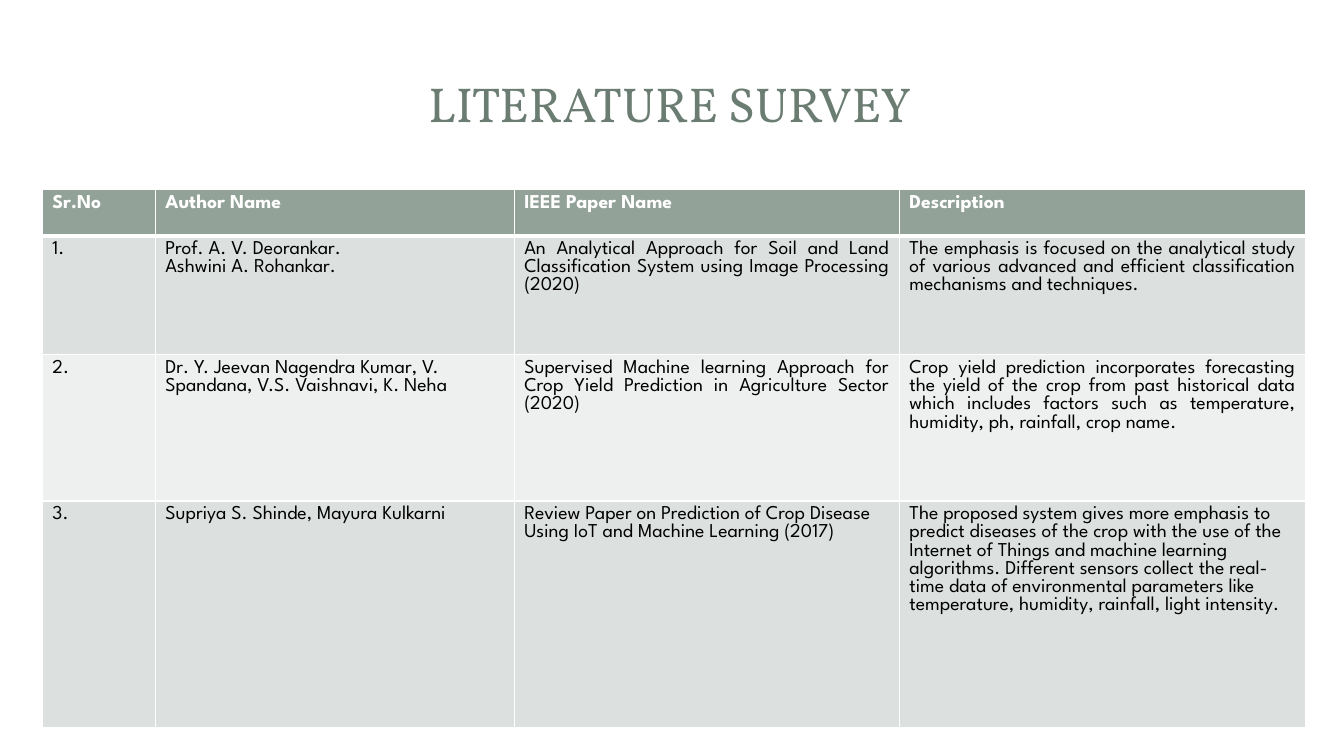
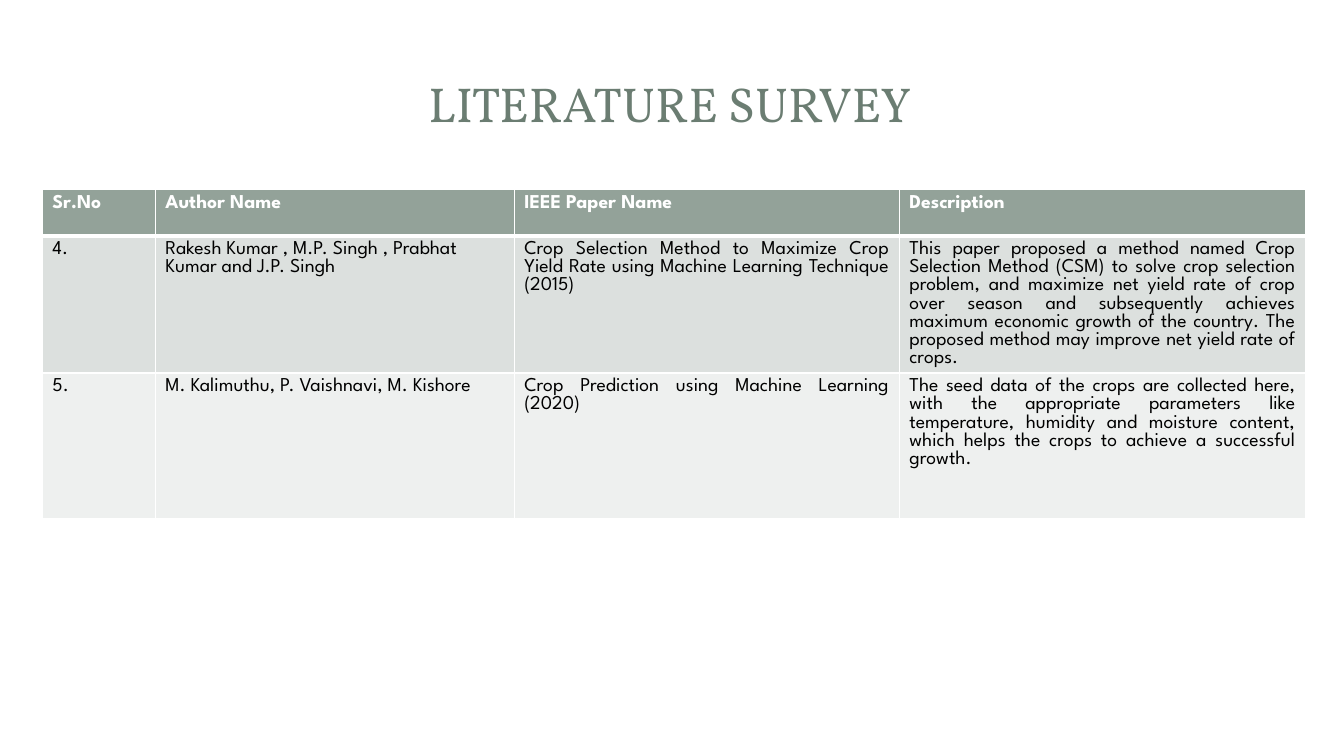
from lxml import etree
from pptx import Presentation
from pptx.dml.color import RGBColor
from pptx.enum.shapes import MSO_SHAPE
from pptx.enum.text import MSO_ANCHOR, PP_ALIGN
from pptx.oxml.ns import qn
from pptx.util import Inches, Pt

COLORS = {
    "panel": "FFFFFF",
    "title": "6B7D72",
    "header": "93A299",
    "band_dark": "DCE0DE",
    "band_light": "EEF0EF",
    "rule": "FFFFFF",
    "header_text": "FFFFFF",
    "body_text": "000000",
}
TITLE_FONT = "Vollkorn"
BODY_FONT = "League Spartan"
PAGE_BOX = (0.13, 0.11, 13.07, 7.29)
TITLE_BAND_BOX = (0.4, 0.3, 12.53, 1.45)
TITLE_PANEL_BOX = (0.54, 0.41, 12.22, 1.22)
TITLE_BOX = (0.62, 0.45, 12.05, 1.14)
TABLE_LEFT, TABLE_TOP = 0.42, 1.88
COLUMN_WIDTHS = (1.12, 3.56, 3.82, 4.03)
ROW_HEIGHTS = (0.46, 1.18, 1.45, 2.25)
HEADINGS = ("Sr.No", "Author Name", "IEEE Paper Name", "Description")
PROSE_COLUMNS = (2, 3)
THIN_RULE, THICK_RULE = 1, 3

# Each paper: number, authors, paper name, description, justified prose
SURVEY_PAGES = [
    [
        ("1.", "Prof. A. V. Deorankar.\nAshwini A. Rohankar.",
         "An Analytical Approach for Soil and Land Classification System "
         "using Image Processing (2020)",
         "The emphasis is focused on the analytical study of various advanced "
         "and efficient classification mechanisms and techniques.", True),
        ("2.", "Dr. Y. Jeevan Nagendra Kumar, V. Spandana, V.S. Vaishnavi, K. Neha",
         "Supervised Machine learning Approach for Crop Yield Prediction in "
         "Agriculture Sector (2020)",
         "Crop yield prediction incorporates forecasting the yield of the crop "
         "from past historical data which includes factors such as "
         "temperature, humidity, ph, rainfall, crop name.", True),
        ("3.", "Supriya S. Shinde, Mayura Kulkarni",
         "Review Paper on Prediction of Crop Disease Using IoT and Machine "
         "Learning (2017)",
         "The proposed system gives more emphasis to predict diseases of the "
         "crop with the use of the Internet of Things and machine learning "
         "algorithms. Different sensors collect the real-time data of "
         "environmental parameters like temperature, humidity, rainfall, "
         "light intensity.", False),
    ],
    [
        ("4.", "Rakesh Kumar , M.P. Singh , Prabhat Kumar and J.P. Singh",
         "Crop Selection Method to Maximize Crop Yield Rate using Machine "
         "Learning Technique (2015)",
         "This paper proposed a method named Crop Selection Method (CSM) to "
         "solve crop selection problem, and maximize net yield rate of crop "
         "over season and subsequently achieves maximum economic growth of "
         "the country. The proposed method may improve net yield rate of "
         "crops.", True),
        ("5.", "M. Kalimuthu, P. Vaishnavi, M. Kishore",
         "Crop Prediction using Machine Learning (2020)",
         "The seed data of the crops are collected here, with the appropriate "
         "parameters like temperature, humidity and moisture content, which "
         "helps the crops to achieve a successful growth.", True),
    ],
]


def color(name):
    """Return the named palette colour."""
    return RGBColor.from_string(COLORS[name])


def style_paragraph(paragraph, font_name, size, color_name, bold, align):
    """Set the font and alignment of one paragraph."""
    paragraph.alignment = align
    for run in paragraph.runs:
        font = run.font
        font.name, font.size, font.bold = font_name, Pt(size), bold
        font.color.rgb = color(color_name)


def add_panel(slide, kind, box, opacity=100):
    """Add a borderless panel filling the box."""
    panel = slide.shapes.add_shape(kind, *map(Inches, box))
    panel.shadow.inherit = False
    panel.fill.solid()
    panel.fill.fore_color.rgb = color("panel")
    panel.line.fill.background()
    if opacity < 100:
        fill_color = panel.fill._xPr.find(qn("a:solidFill"))[0]
        etree.SubElement(fill_color, qn("a:alpha"), val=str(opacity * 1000))
    return panel


def add_background(slide):
    """Add the page panel and the title band behind the title."""
    page = add_panel(slide, MSO_SHAPE.ROUNDED_RECTANGLE, PAGE_BOX)
    page.adjustments[0] = 0.017
    add_panel(slide, MSO_SHAPE.RECTANGLE, TITLE_BAND_BOX, opacity=83)
    add_panel(slide, MSO_SHAPE.RECTANGLE, TITLE_PANEL_BOX)
    title = slide.shapes.title.element
    title.getparent().append(title)


def place_title(slide, text, box):
    """Move the title placeholder into the box and format it."""
    title = slide.shapes.title
    title.left, title.top, title.width, title.height = map(Inches, box)
    title.text_frame.text = text
    title.text_frame.vertical_anchor = MSO_ANCHOR.MIDDLE
    style_paragraph(title.text_frame.paragraphs[0], TITLE_FONT, 35,
                    "title", False, PP_ALIGN.CENTER)


def rule_cell(cell, top, bottom):
    """Draw the four cell borders with the given top and bottom widths."""
    properties = cell._tc.get_or_add_tcPr()
    sides = {"lnL": THIN_RULE, "lnR": THIN_RULE, "lnT": top, "lnB": bottom}
    for position, (side, width) in enumerate(sides.items()):
        line = etree.Element(qn(f"a:{side}"), w=str(Pt(width)))
        fill = etree.SubElement(line, qn("a:solidFill"))
        etree.SubElement(fill, qn("a:srgbClr"), val=COLORS["rule"])
        properties.insert(position, line)


def fill_cell(cell, text, fill, text_color, bold=False, justified=False):
    """Write and format one table cell."""
    cell.text = text
    cell.fill.solid()
    cell.fill.fore_color.rgb = color(fill)
    align = PP_ALIGN.JUSTIFY if justified else PP_ALIGN.LEFT
    for paragraph in cell.text_frame.paragraphs:
        style_paragraph(paragraph, BODY_FONT, 14, text_color, bold, align)


def add_survey_table(slide, papers, left, top):
    """Add the header row and one banded row per paper."""
    heights = ROW_HEIGHTS[:len(papers) + 1]
    table = slide.shapes.add_table(
        len(heights), len(COLUMN_WIDTHS), Inches(left), Inches(top),
        Inches(sum(COLUMN_WIDTHS)), Inches(sum(heights))).table
    for column, width in zip(table.columns, COLUMN_WIDTHS):
        column.width = Inches(width)
    for row, height in zip(table.rows, heights):
        row.height = Inches(height)
    for c, heading in enumerate(HEADINGS):
        cell = table.cell(0, c)
        fill_cell(cell, heading, "header", "header_text", bold=True)
        rule_cell(cell, THIN_RULE, THICK_RULE)
    for r, (*texts, justified) in enumerate(papers, start=1):
        band = "band_dark" if r % 2 else "band_light"
        for c, text in enumerate(texts):
            cell = table.cell(r, c)
            fill_cell(cell, text, band, "body_text",
                      justified=justified and c in PROSE_COLUMNS)
            rule_cell(cell, THICK_RULE if r == 1 else THIN_RULE, THIN_RULE)


def add_survey_slide(prs, papers):
    """Add one literature survey slide."""
    slide = prs.slides.add_slide(prs.slide_layouts.get_by_name("Title Only"))
    add_background(slide)
    place_title(slide, "LITERATURE SURVEY", TITLE_BOX)
    add_survey_table(slide, papers, TABLE_LEFT, TABLE_TOP)


prs = Presentation()
prs.slide_width, prs.slide_height = Inches(13.33), Inches(7.5)
for page in SURVEY_PAGES:
    add_survey_slide(prs, page)
prs.save("out.pptx")
